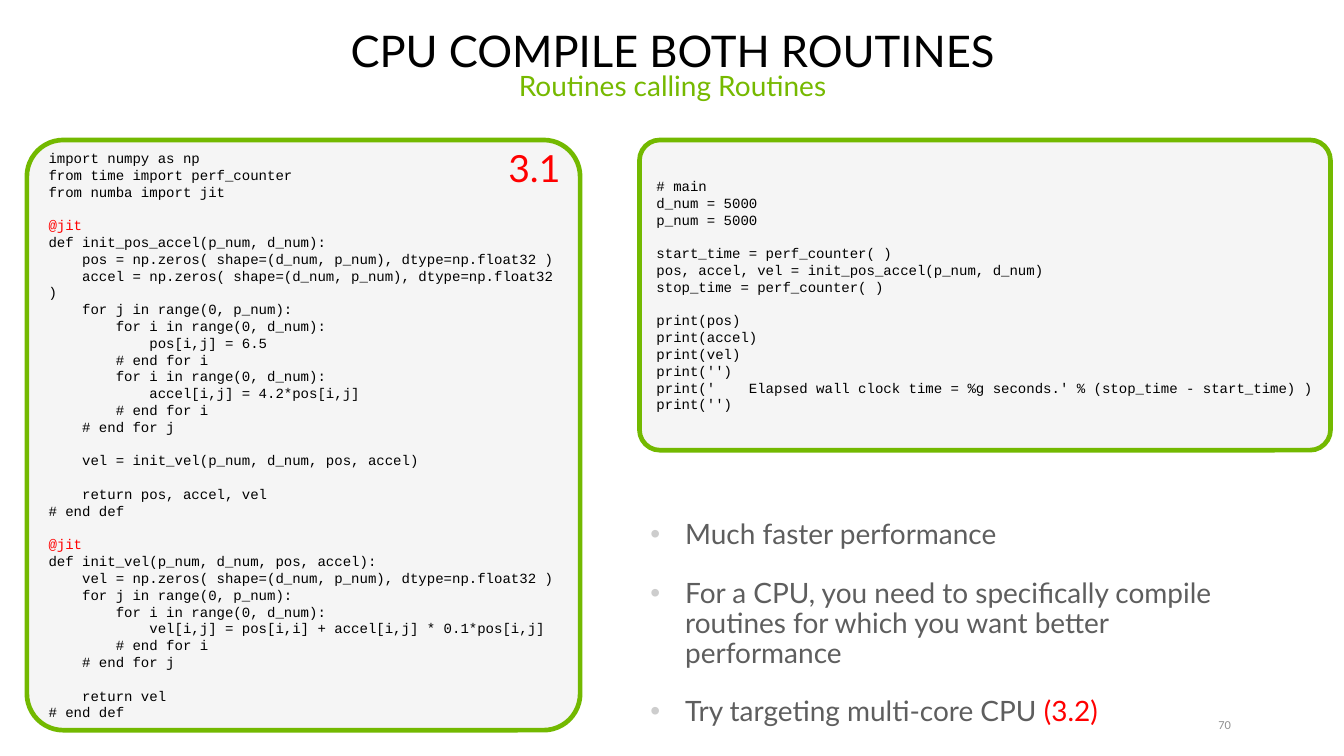
import pptx
import pptx.util
import pptx.dml.color
import pptx.enum.shapes
import pptx.enum.text
import pptx.oxml
import pptx.oxml.ns

Inches, Pt = pptx.util.Inches, pptx.util.Pt
RGBColor = pptx.dml.color.RGBColor
PP_ALIGN, MSO_ANCHOR = pptx.enum.text.PP_ALIGN, pptx.enum.text.MSO_ANCHOR
MSO_AUTO_SIZE = pptx.enum.text.MSO_AUTO_SIZE

BLACK = RGBColor(0, 0, 0)
RED = RGBColor(0xFF, 0, 0)
GREEN = RGBColor(0x76, 0xB9, 0)
BORDER_GREEN = RGBColor(0x73, 0xB9, 0)
PANEL_GRAY = RGBColor(0xF5, 0xF5, 0xF5)
TEXT_GRAY = RGBColor(0x5E, 0x5E, 0x5E)
PAGE_GRAY = RGBColor(0x8C, 0x8C, 0x8C)

FONT, CODE_FONT = "Lato", "Courier New"
CODE_LINE = Pt(10.8)

IMPORTS = """\
import numpy as np
from time import perf_counter
from numba import jit"""

INIT_POS_ACCEL = """\
@jit
def init_pos_accel(p_num, d_num):
    pos = np.zeros( shape=(d_num, p_num), dtype=np.float32 )
    accel = np.zeros( shape=(d_num, p_num), dtype=np.float32 )
    for j in range(0, p_num):
        for i in range(0, d_num):
            pos[i,j] = 6.5
        # end for i
        for i in range(0, d_num):
            accel[i,j] = 4.2*pos[i,j]
        # end for i
    # end for j

    vel = init_vel(p_num, d_num, pos, accel)

    return pos, accel, vel
# end def"""

INIT_VEL = """\
@jit
def init_vel(p_num, d_num, pos, accel):
    vel = np.zeros( shape=(d_num, p_num), dtype=np.float32 )
    for j in range(0, p_num):
        for i in range(0, d_num):
            vel[i,j] = pos[i,i] + accel[i,j] * 0.1*pos[i,j]
        # end for i
    # end for j

    return vel
# end def"""

MAIN_PROGRAM = """\
# main
d_num = 5000
p_num = 5000

start_time = perf_counter( )
pos, accel, vel = init_pos_accel(p_num, d_num)
stop_time = perf_counter( )

print(pos)
print(accel)
print(vel)
print('')
print('    Elapsed wall clock time = %g seconds.' % (stop_time - start_time) )
print('')"""

BULLETS = [
    [("Much faster performance", TEXT_GRAY)],
    [("For a CPU, you need to specifically compile routines "
      "for which you want better performance", TEXT_GRAY)],
    [("Try targeting multi-core CPU ", TEXT_GRAY), ("(3.2)", RED)],
]


def add_run(p, text, size, color, font=FONT):
    r = p.add_run()
    r.text = text
    r.font.size = Pt(size)
    r.font.name = font
    r.font.color.rgb = color


def next_paragraph(tf, index):
    return tf.paragraphs[0] if index == 0 else tf.add_paragraph()


def add_label(s, box, text, size, color, align=PP_ALIGN.LEFT,
              anchor=MSO_ANCHOR.TOP, wrap=True, inset=None):
    tf = s.shapes.add_textbox(*map(Inches, box)).text_frame
    tf.word_wrap = wrap
    tf.vertical_anchor = anchor
    if inset is not None:
        tf.margin_left = tf.margin_right = Inches(inset)
        tf.margin_top = tf.margin_bottom = Inches(inset)
    p = tf.paragraphs[0]
    p.alignment = align
    p.line_spacing = 0.9
    add_run(p, text, size, color)


def set_title(s, text):
    title = s.shapes.title
    title.left, title.top = Inches(0.55), Inches(0.09)
    title.width, title.height = Inches(10.91), Inches(0.65)
    tf = title.text_frame
    tf.auto_size = MSO_AUTO_SIZE.NONE
    tf.vertical_anchor = MSO_ANCHOR.BOTTOM
    p = tf.paragraphs[0]
    p.alignment = PP_ALIGN.CENTER
    p.line_spacing = 0.9
    add_run(p, text, 28, BLACK)


def add_code_panel(s, box, code):
    sp = s.shapes.add_shape(pptx.enum.shapes.MSO_SHAPE.ROUNDED_RECTANGLE,
                            *map(Inches, box))
    sp.adjustments[0] = 0.066
    sp.shadow.inherit = False
    sp.fill.solid()
    sp.fill.fore_color.rgb = PANEL_GRAY
    sp.line.color.rgb = BORDER_GREEN
    sp.line.width = Pt(3)
    tf = sp.text_frame
    tf.word_wrap = True
    tf.vertical_anchor = MSO_ANCHOR.MIDDLE
    # An empty code line becomes one line of space before the next block
    for b, block in enumerate(code.split("\n\n")):
        for i, line in enumerate(block.split("\n")):
            p = next_paragraph(tf, b + i)
            p.alignment = PP_ALIGN.LEFT
            p.line_spacing = CODE_LINE
            if b and i == 0:
                p.space_before = CODE_LINE
            add_run(p, line, 9, RED if line == "@jit" else BLACK, CODE_FONT)


def set_bullet(p):
    pPr = p._p.get_or_add_pPr()
    pPr.set("marL", str(Inches(0.31)))
    pPr.set("indent", str(-Inches(0.31)))
    ns = pptx.oxml.ns.nsdecls("a")
    for xml in (f'<a:buClr {ns}><a:srgbClr val="CDCDCD"/></a:buClr>',
                f'<a:buFont {ns} typeface="Arial"/>',
                f'<a:buChar {ns} char="•"/>'):
        pPr.append(pptx.oxml.parse_xml(xml))


def add_bullets(s, box, items):
    tf = s.shapes.add_textbox(*map(Inches, box)).text_frame
    tf.word_wrap = True
    for i, runs in enumerate(items):
        p = next_paragraph(tf, i)
        set_bullet(p)
        p.line_spacing = 0.9
        p.space_after = Pt(9)
        if i:
            p.space_before = Pt(9)
        for text, color in runs:
            add_run(p, text, 18, color)


def main():
    prs = pptx.Presentation()
    prs.slide_width, prs.slide_height = Inches(12), Inches(6.75)
    s = prs.slides.add_slide(prs.slide_layouts[5])

    # Heading
    set_title(s, "CPU COMPILE BOTH ROUTINES")
    add_label(s, (0.55, 0.6, 10.91, 0.57), "Routines calling Routines",
              18, GREEN, align=PP_ALIGN.CENTER)

    # Code listings
    routines = "\n\n".join([IMPORTS, INIT_POS_ACCEL, INIT_VEL])
    add_code_panel(s, (0.24, 1.25, 4.94, 5.27), routines)
    add_code_panel(s, (5.71, 1.25, 6.17, 2.77), MAIN_PROGRAM)
    add_label(s, (4.44, 1.29, 0.68, 0.46), "3.1", 24, RED,
              anchor=MSO_ANCHOR.MIDDLE, wrap=False)

    # Remarks and page number
    add_bullets(s, (5.71, 4.6, 5.74, 1.74), BULLETS)
    add_label(s, (10.66, 6.41, 0.33, 0.15), "70", 7, PAGE_GRAY,
              align=PP_ALIGN.RIGHT, anchor=MSO_ANCHOR.MIDDLE, inset=0)

    prs.save("out.pptx")


if __name__ == "__main__":
    main()
